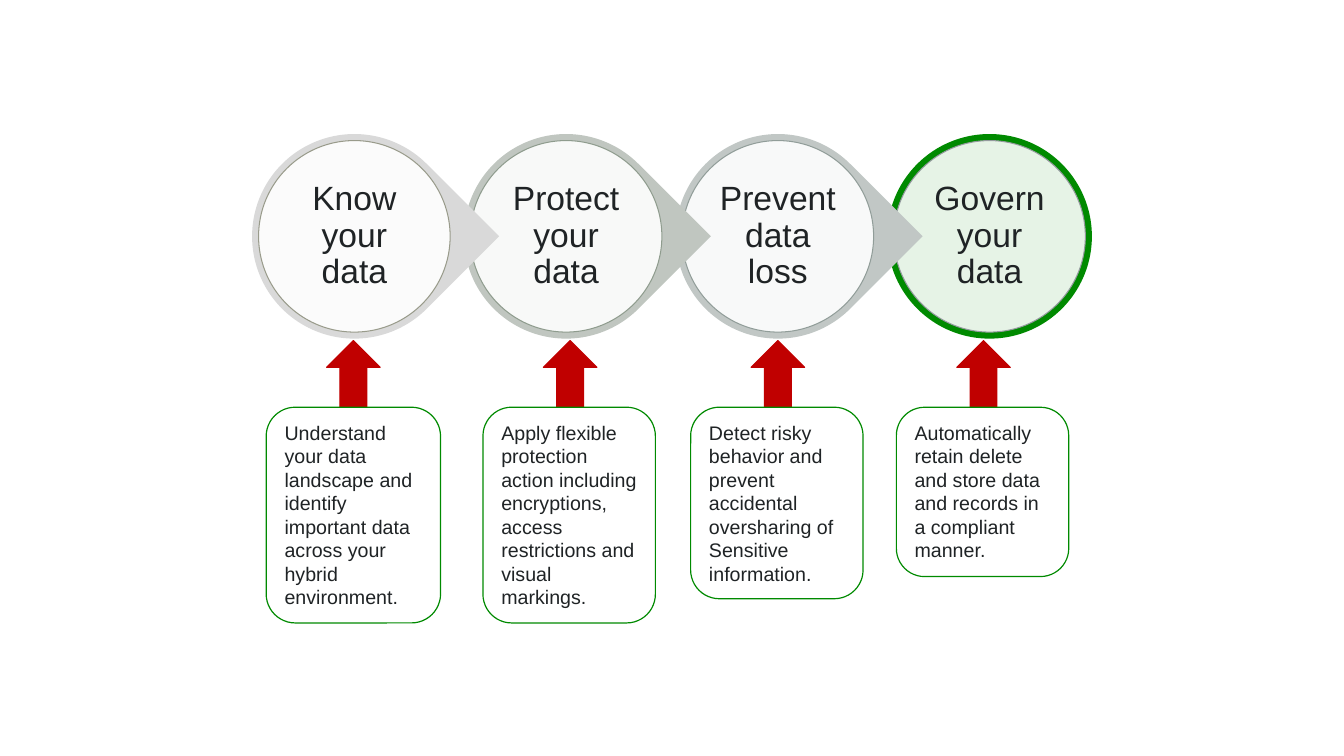
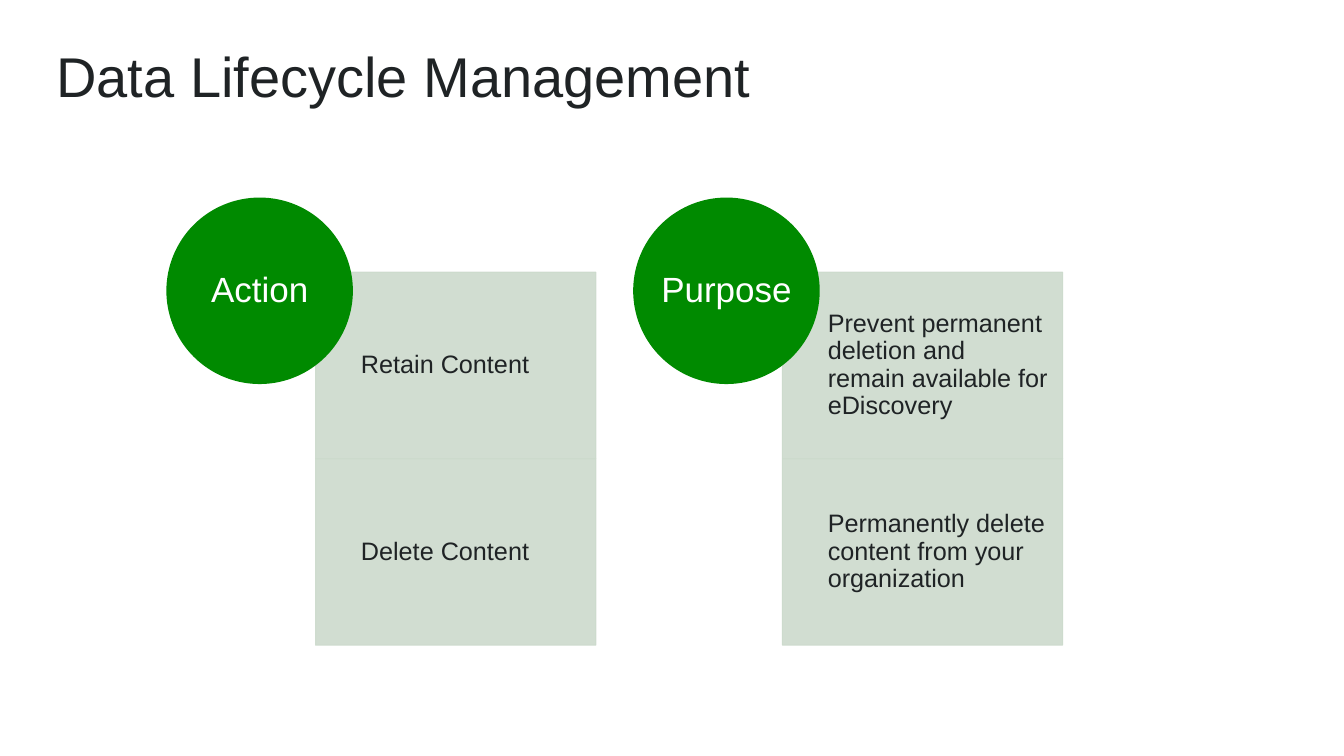
from lxml import etree
from pptx import Presentation
from pptx.dml.color import RGBColor
from pptx.enum.shapes import MSO_SHAPE
from pptx.enum.text import MSO_ANCHOR, MSO_AUTO_SIZE, PP_ALIGN
from pptx.oxml.ns import qn
from pptx.util import Inches, Pt

FONT = "Arial"
COLORS = {
    "ink": "1F2325",
    "white": "FFFFFF",
    "green": "008A00",
    "pale green": "CCDACC",
    "red": "C00000",
}

# Heading, ring colour, disc outline, callout text, callout left, width, height
STAGES = [
    ("Know your data", "D9D9D9", "999B8B",
     "Understand your data landscape and identify important data across "
     "your hybrid environment.", 2.64, 1.73, 2.14),
    ("Protect your data", "C0C6C0", "8F9C8E",
     "Apply flexible protection action including encryptions, access "
     "restrictions and visual markings.", 4.79, 1.71, 2.14),
    ("Prevent data loss", "C1C7C5", "919D99",
     "Detect risky behavior and prevent accidental oversharing of "
     "Sensitive information.", 6.85, 1.71, 1.9),
    ("Govern your data", COLORS["green"], "949A9E",
     "Automatically retain delete and store data and records in a "
     "compliant manner.", 8.89, 1.71, 1.68),
]
RING_LEFT, RING_TOP, RING_SIZE, RING_STEP = 2.5, 1.33, 2.03, 2.1
DISC_SIZE = 1.9
ARROW_TOP, ARROW_OFFSET, ARROW_WIDTH, ARROW_HEIGHT = 3.38, 0.6, 0.53, 0.67
CALLOUT_TOP = 4.04

TITLE = "Data Lifecycle Management"
GROUPS = [
    ("Action", ["Retain Content", "Delete Content"]),
    ("Purpose", ["Prevent permanent deletion and remain available for eDiscovery",
                 "Permanently delete content from your organization"]),
]
GROUP_LEFT, GROUP_TOP, GROUP_STEP = 1.65, 1.96, 4.63
BADGE_SIZE = 1.85
PANEL_OFFSET, PANEL_TOP, PANEL_WIDTH, PANEL_HEIGHT = 1.48, 2.7, 2.78, 1.85


def set_opacity(color_parent, percent):
    color = color_parent.find(".//" + qn("a:srgbClr"))
    etree.SubElement(color, qn("a:alpha")).set("val", str(percent * 1000))


def add_box(page, kind, at, fill, line=None, weight=0.75, opacity=100):
    shape = page.shapes.add_shape(kind, *map(Inches, at))
    shape.shadow.inherit = False
    shape.fill.solid()
    shape.fill.fore_color.rgb = RGBColor.from_string(fill)
    if opacity < 100:
        set_opacity(shape.fill._xPr.find(qn("a:solidFill")), opacity)
    if line:
        shape.line.color.rgb = RGBColor.from_string(line)
        shape.line.width = Pt(weight)
    else:
        shape.line.fill.background()
    return shape


def write(shape, text, size, color=COLORS["ink"], align=PP_ALIGN.LEFT,
          spacing=None, **frame_format):
    """Fill the shape with one paragraph; frame_format sets text frame attributes."""
    frame = shape.text_frame
    frame.text = text
    for name, value in {"word_wrap": True, **frame_format}.items():
        setattr(frame, name, value)
    para = frame.paragraphs[0]
    para.alignment, para.line_spacing = align, spacing
    font = para.runs[0].font
    font.name, font.size = FONT, Pt(size)
    font.color.rgb = RGBColor.from_string(color)


def margins(left, top, right, bottom):
    sides = {"left": left, "top": top, "right": right, "bottom": bottom}
    return {f"margin_{side}": Inches(value) for side, value in sides.items()}


def build_stages(deck):
    page = deck.slides.add_slide(deck.slide_layouts[6])
    inset = (RING_SIZE - DISC_SIZE) / 2
    last = len(STAGES) - 1
    # Drawn from the right so that each point lies over the next ring
    for index in range(last, -1, -1):
        heading, ring_color, outline = STAGES[index][:3]
        left = RING_LEFT + index * RING_STEP
        kind = MSO_SHAPE.OVAL if index == last else MSO_SHAPE.TEAR
        ring = add_box(page, kind, (left, RING_TOP, RING_SIZE, RING_SIZE), ring_color)
        if index < last:
            ring.rotation = 45
        disc = add_box(page, MSO_SHAPE.OVAL,
                       (left + inset, RING_TOP + inset, DISC_SIZE, DISC_SIZE),
                       COLORS["white"], outline, opacity=90)
        write(disc, heading, 24, align=PP_ALIGN.CENTER, spacing=0.9,
              vertical_anchor=MSO_ANCHOR.MIDDLE, **margins(0.03, 0.03, 0.03, 0.03))

    for *_, detail, left, width, height in STAGES:
        add_box(page, MSO_SHAPE.UP_ARROW,
                (left + ARROW_OFFSET, ARROW_TOP, ARROW_WIDTH, ARROW_HEIGHT),
                COLORS["red"], COLORS["red"], 0.85)
        callout = add_box(page, MSO_SHAPE.ROUNDED_RECTANGLE,
                          (left, CALLOUT_TOP, width, height),
                          COLORS["white"], COLORS["green"], 0.85)
        write(callout, detail, 14, vertical_anchor=MSO_ANCHOR.TOP,
              auto_size=MSO_AUTO_SIZE.SHAPE_TO_FIT_TEXT)


def build_lifecycle(deck):
    page = deck.slides.add_slide(deck.slide_layouts[5])
    title = page.shapes.title
    place = {"left": 0.46, "top": 0.36, "width": 12.23, "height": 1.45}
    for name, value in place.items():
        setattr(title, name, Inches(value))
    write(title, TITLE, 40, vertical_anchor=MSO_ANCHOR.TOP,
          auto_size=MSO_AUTO_SIZE.NONE)

    for index, (heading, items) in enumerate(GROUPS):
        left = GROUP_LEFT + index * GROUP_STEP
        for row, item in enumerate(items):
            panel = add_box(page, MSO_SHAPE.RECTANGLE,
                            (left + PANEL_OFFSET, PANEL_TOP + row * PANEL_HEIGHT,
                             PANEL_WIDTH, PANEL_HEIGHT),
                            COLORS["pale green"], COLORS["pale green"], opacity=90)
            set_opacity(panel.line._ln, 90)
            write(panel, item, 18, spacing=0.9, vertical_anchor=MSO_ANCHOR.MIDDLE,
                  **margins(0.45, 0.14, 0.14, 0.14))
        badge = add_box(page, MSO_SHAPE.OVAL,
                        (left, GROUP_TOP, BADGE_SIZE, BADGE_SIZE), COLORS["green"])
        write(badge, heading, 25, COLORS["white"], PP_ALIGN.CENTER, 0.9,
              vertical_anchor=MSO_ANCHOR.MIDDLE, **margins(0, 0, 0, 0))


def main():
    deck = Presentation()
    deck.slide_width, deck.slide_height = Inches(13.33), Inches(7.5)
    build_stages(deck)
    build_lifecycle(deck)
    deck.save("out.pptx")


if __name__ == "__main__":
    main()
